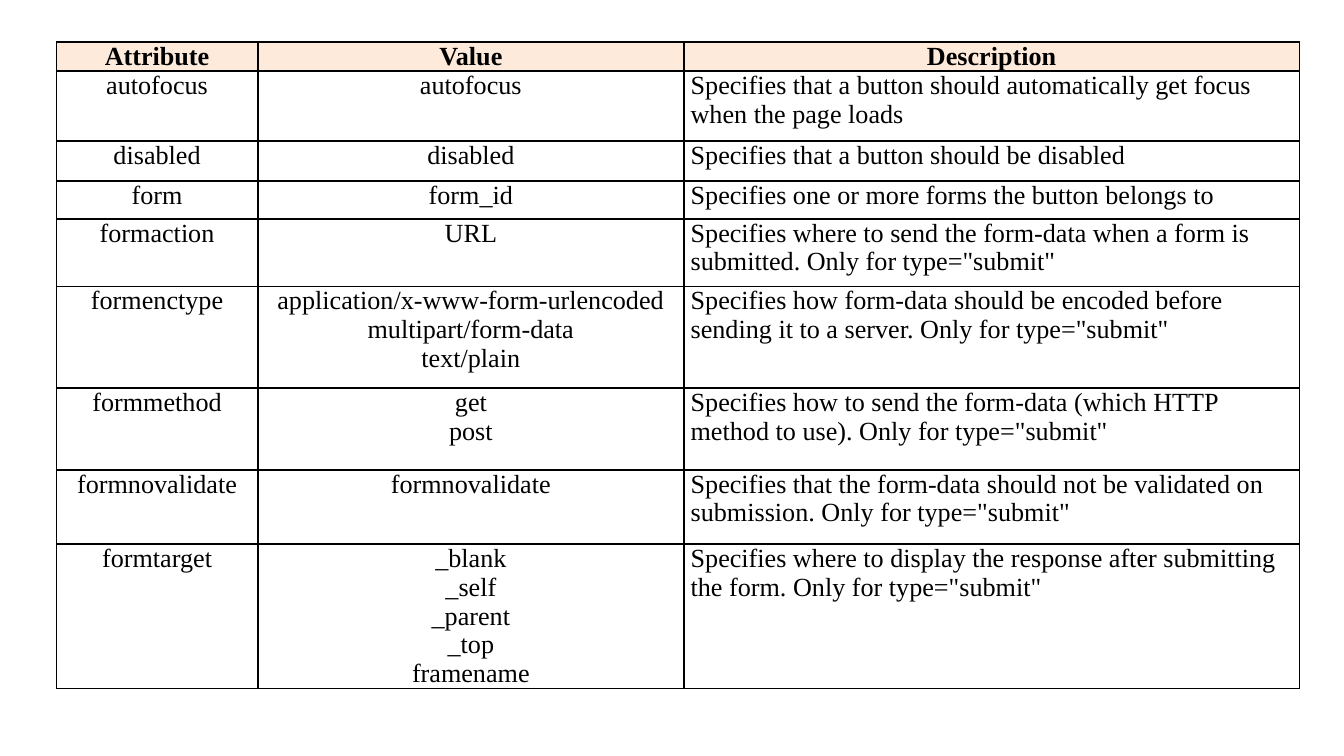
from copy import deepcopy

from lxml import etree
from pptx import Presentation
from pptx import util as u
from pptx.dml import color
from pptx.enum import text
from pptx.oxml import ns

Pt = u.Pt
HUES = {"ink": "000000", "head": "FDEADA"}
FONT = {"name": "Times New Roman", "size": Pt(14)}
CELL = {"margin_left": Pt(3.6), "margin_right": Pt(3.6),
        "margin_top": 0, "margin_bottom": 0}
COLS = [108, 228.2, 329.8]
HIGH = [10.8, 37.4, 21.6, 20.2, 36.2, 54.4, 43.9, 39.8, 54.7]
ROWS = [
    ("Attribute", "Value", "Description"),
    ("autofocus", "autofocus",
     "Specifies that a button should automatically get focus when the page loads"),
    ("disabled", "disabled", "Specifies that a button should be disabled"),
    ("form", "form_id", "Specifies one or more forms the button belongs to"),
    ("formaction", "URL",
     'Specifies where to send the form-data when a form is submitted. Only for type="submit"'),
    ("formenctype", "application/x-www-form-urlencoded\vmultipart/form-data\vtext/plain",
     'Specifies how form-data should be encoded before sending it to a server. Only for type="submit"'),
    ("formmethod", "get\vpost",
     'Specifies how to send the form-data (which HTTP method to use). Only for type="submit"'),
    ("formnovalidate", "formnovalidate",
     'Specifies that the form-data should not be validated on submission. Only for type="submit"'),
    ("formtarget", "_blank\v_self\v_parent\v_top\vframename",
     'Specifies where to display the response after submitting the form. Only for type="submit"'),
]


def tune(item, props):
    """Set each attribute in props on item."""
    for key, val in props.items():
        setattr(item, key, val)


def edge(cell):
    """Draw a thin line on all four sides of a cell."""
    props = cell._tc.get_or_add_tcPr()
    for spot, side in enumerate(("lnL", "lnR", "lnT", "lnB")):
        line = etree.Element(ns.qn("a:" + side), w=str(Pt(1)))
        fill = etree.SubElement(line, ns.qn("a:solidFill"))
        etree.SubElement(fill, ns.qn("a:srgbClr"), val=HUES["ink"])
        props.insert(spot, line)


def write(cell, words, bold, mid):
    """Fill a cell with formatted text, its line breaks included."""
    tune(cell, CELL)
    cell.text = words
    para = cell.text_frame.paragraphs[0]
    para.alignment = text.PP_ALIGN.CENTER if mid else text.PP_ALIGN.LEFT
    for run in para.runs:
        tune(run.font, {**FONT, "bold": bold})
        run.font.color.rgb = color.RGBColor.from_string(HUES["ink"])
    for gap in para._p.findall(ns.qn("a:br")):
        gap.append(deepcopy(para.runs[0]._r.rPr))


def paint(cell, head):
    """Shade a header cell and leave any other clear."""
    if head:
        cell.fill.solid()
        cell.fill.fore_color.rgb = color.RGBColor.from_string(HUES["head"])
    else:
        cell.fill.background()


def grid(slide):
    """Add the table of button attributes."""
    frame = slide.shapes.add_table(len(ROWS), len(COLS), Pt(30.2), Pt(22.5),
                                   Pt(sum(COLS)), Pt(sum(HIGH)))
    table = frame.table
    tune(table, {"first_row": False, "horz_banding": False})
    for col, wide in zip(table.columns, COLS):
        col.width = Pt(wide)
    for row, high in zip(table.rows, HIGH):
        row.height = Pt(high)
    frame.height = Pt(354.2)
    for r, row in enumerate(ROWS):
        for c, words in enumerate(row):
            cell = table.cell(r, c)
            write(cell, words, r == 0, r == 0 or c < 2)
            paint(cell, r == 0)
            edge(cell)


def main():
    """Build the slide and save it."""
    deck = Presentation()
    tune(deck, {"slide_width": Pt(720), "slide_height": Pt(405)})
    grid(deck.slides.add_slide(deck.slide_layouts[6]))
    deck.save("out.pptx")


if __name__ == "__main__":
    main()
